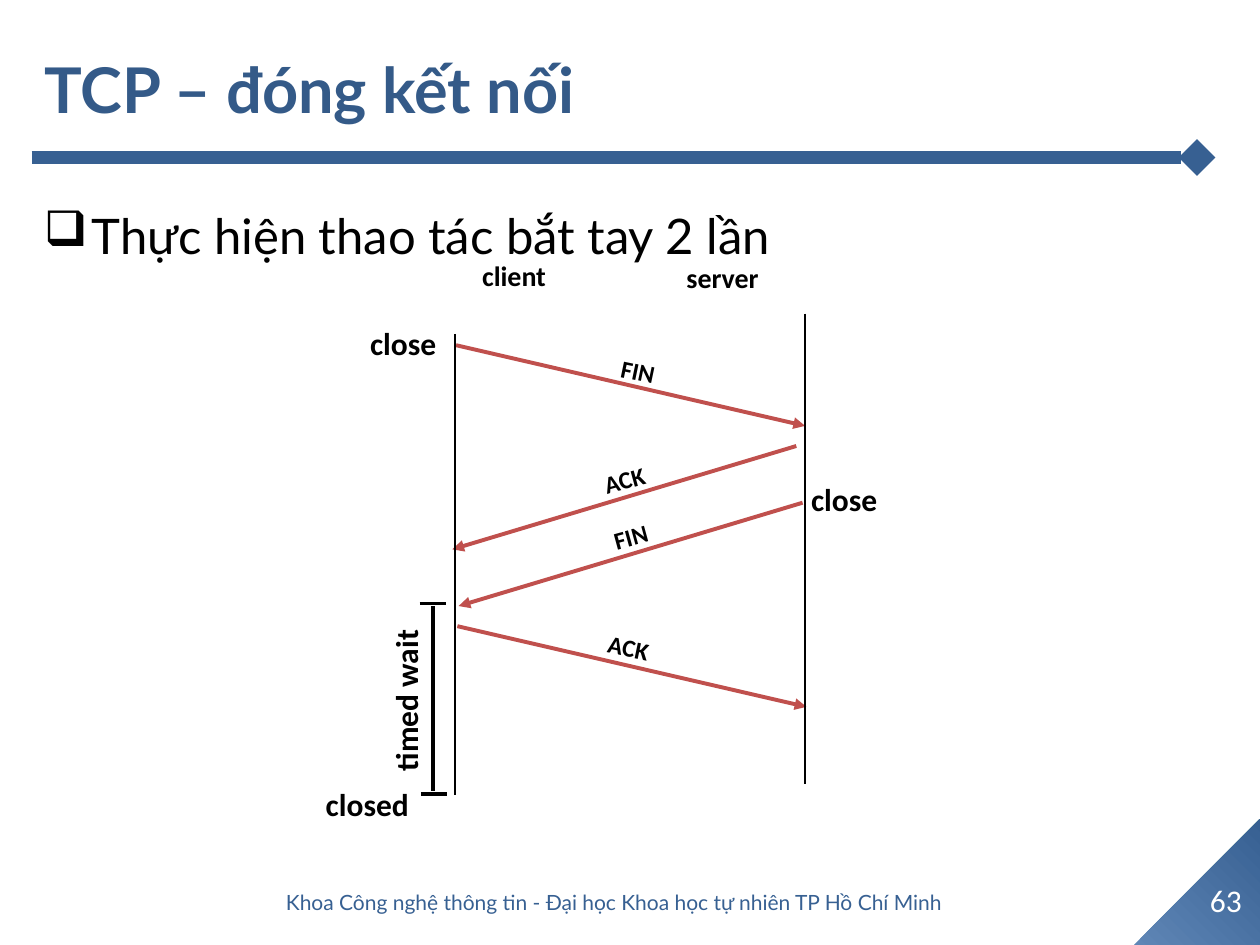
import pptx
import pptx.util
import pptx.dml.color
import pptx.enum.shapes
import pptx.enum.text
from lxml import etree

Inches, Pt = pptx.util.Inches, pptx.util.Pt
ALIGN = pptx.enum.text.PP_ALIGN
ANCHOR = pptx.enum.text.MSO_ANCHOR
SHAPE = pptx.enum.shapes.MSO_SHAPE
DRAWING = "http://schemas.openxmlformats.org/drawingml/2006/main"

BLACK, RED, NAVY, WHITE = "000000", "C0504D", "376092", "FFFFFF"

TITLE = "TCP – đóng kết nối"
BULLET = "Thực hiện thao tác bắt tay 2 lần"
FOOTER = "Khoa Công nghệ thông tin - Đại học Khoa học tự nhiên TP Hồ Chí Minh"
PAGE_NUMBER = "63"

# start x, start y, end x, end y
MESSAGES = [
    (3.62, 2.74, 6.39, 3.38),
    (6.32, 3.54, 3.59, 4.36),
    (6.37, 3.99, 3.64, 4.81),
    (3.63, 4.97, 6.4, 5.61),
]
# line, width in points
BLACK_LINES = [
    ((3.61, 2.65, 3.61, 6.31), 1.5),   # client
    ((6.39, 2.49, 6.39, 6.22), 1.5),   # server
    ((3.44, 4.81, 3.44, 6.28), 2.25),  # timed wait
    ((3.33, 4.79, 3.54, 4.79), 2.25),
    ((3.34, 6.3, 3.55, 6.3), 2.25),
]
# text, (left, top, width, height), size, rotation
LABELS = [
    ("client", (3.69, 2, 0.78, 0.37), 16, 0),
    ("server", (5.3, 2.02, 0.87, 0.37), 16, 0),
    ("FIN", (4.81, 2.78, 0.51, 0.33), 14, 11.8),
    ("ACK", (3.46, 3.64, 2.99, 0.33), 14, 344.6),
    ("FIN", (3.51, 4.09, 2.99, 0.33), 14, 344.6),
    ("ACK", (4.68, 4.97, 0.62, 0.33), 14, 11.8),
    ("close", (2.78, 2.52, 0.84, 0.4), 18, 0),
    ("close", (6.28, 3.76, 0.84, 0.4), 18, 0),
    ("closed", (2.42, 6.18, 0.99, 0.4), 18, 0),
    ("timed wait", (2.51, 5.36, 1.42, 0.4), 18, 270),
]


def rgb(value):
    return pptx.dml.color.RGBColor.from_string(value)


def add_drawing_element(parent, tag, **attributes):
    return etree.SubElement(parent, f"{{{DRAWING}}}{tag}", **attributes)


def write(box, text, size, color, font="Calibri", bold=False,
          align=ALIGN.CENTER, anchor=ANCHOR.TOP, wrap=True):
    frame = box.text_frame
    frame.text = text
    frame.word_wrap = wrap
    frame.vertical_anchor = anchor
    para = frame.paragraphs[0]
    para.alignment = align
    span = para.runs[0].font
    span.name, span.size, span.bold = font, Pt(size), bold
    span.color.rgb = rgb(color)
    return para


def add_text(page, place, *args, **options):
    box = page.shapes.add_textbox(*map(Inches, place))
    return box, write(box, *args, **options)


def add_line(page, ends, color, width, tail=None):
    line = page.shapes.add_connector(
        pptx.enum.shapes.MSO_CONNECTOR.STRAIGHT, *map(Inches, ends))
    line.line.color.rgb = rgb(color)
    line.line.width = Pt(width)
    if tail:
        add_drawing_element(line.line._get_or_add_ln(), "tailEnd", type=tail)
    add_drawing_element(line._element.spPr, "effectLst")


def add_corner(page):
    corner = page.shapes.add_shape(
        SHAPE.RIGHT_TRIANGLE, Inches(9), Inches(6.5), Inches(1), Inches(1))
    corner.rotation = 270
    corner.shadow.inherit = False
    corner.line.fill.background()
    corner.fill.gradient()
    corner.fill.gradient_angle = 315
    for stop, color in zip(corner.fill.gradient_stops, ("5F86B6", NAVY)):
        stop.color.rgb = rgb(color)


def add_bullet(page):
    box, para = add_text(page, (0.25, 1.58, 9.42, 5.33), BULLET, 28, BLACK,
                         font="Lato", align=ALIGN.LEFT)
    properties = para._p.get_or_add_pPr()
    indent = Inches(0.38)
    properties.set("marL", str(indent))
    properties.set("indent", str(-indent))
    add_drawing_element(properties, "buChar", char="❑")


def main():
    deck = pptx.Presentation()
    deck.slide_width, deck.slide_height = Inches(10), Inches(7.5)
    page = deck.slides.add_slide(deck.slide_layouts[5])

    add_corner(page)
    add_line(page, (0.25, 1.25, 9.5, 1.25), NAVY, 7, "diamond")

    title = page.shapes.title
    title.left, title.top, title.width, title.height = map(
        Inches, (0.25, 0.08, 9.57, 1.25))
    write(title, TITLE, 36, "345A88", font="Lato", bold=True,
          align=ALIGN.LEFT, anchor=ANCHOR.MIDDLE)
    add_bullet(page)

    for ends in MESSAGES:
        add_line(page, ends, RED, 2.25, "triangle")
    for ends, width in BLACK_LINES:
        add_line(page, ends, BLACK, width)
    for text, place, size, rotation in LABELS:
        box, _ = add_text(page, place, text, size, BLACK, bold=True, wrap=False)
        box.rotation = rotation

    add_text(page, (9.46, 6.94, 0.54, 0.4), PAGE_NUMBER, 18, WHITE,
             anchor=ANCHOR.MIDDLE)
    add_text(page, (1.25, 6.96, 7.25, 0.4), FOOTER, 12, NAVY, font="Lato",
             anchor=ANCHOR.MIDDLE)
    deck.save("out.pptx")


if __name__ == "__main__":
    main()
